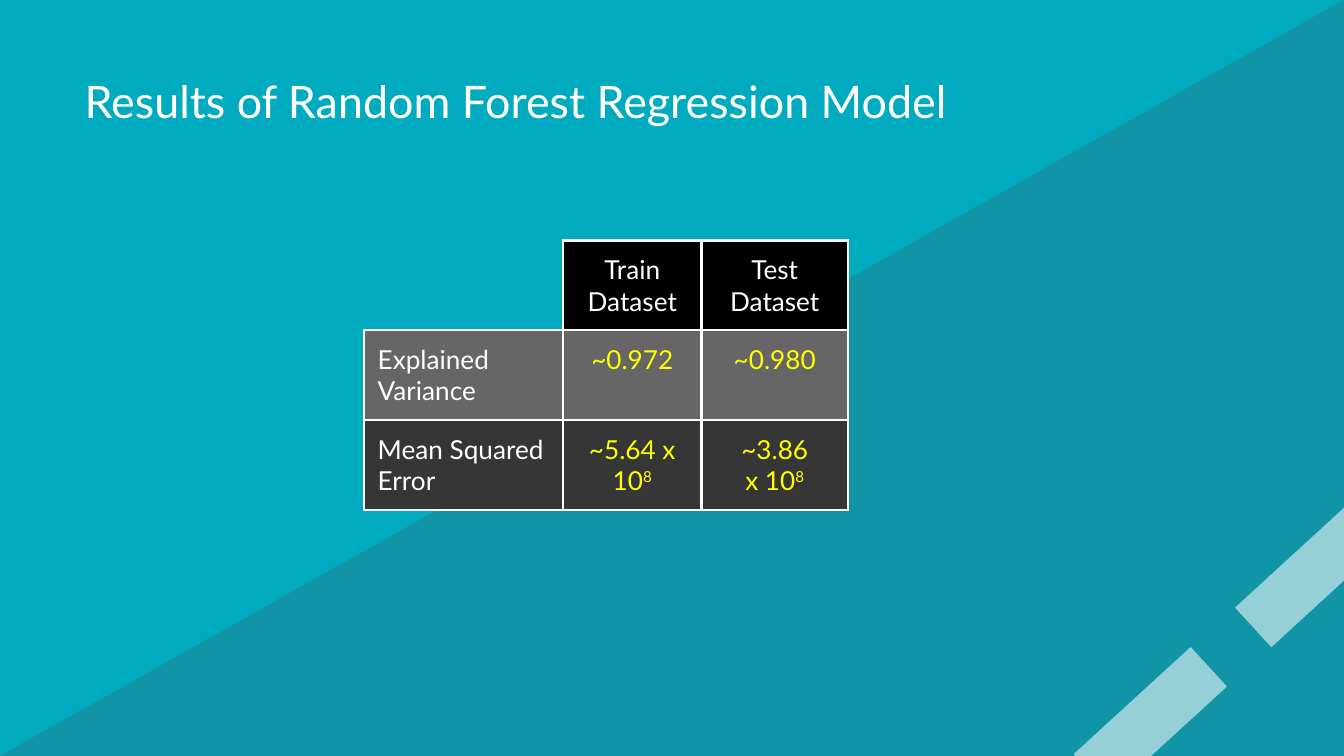
from dataclasses import dataclass

from pptx import Presentation
from pptx import util as u
from pptx.dml import color
from pptx.enum import shapes, text
from pptx.oxml import ns, parse_xml


@dataclass(frozen=True)
class Theme:
    font: str = "Lato"
    title_size: float = 24
    table_size: float = 14
    border_width: float = 1.5
    background: str = "00ABBF"
    shade: str = "336574"
    white: str = "FFFFFF"
    value: str = "FFFF00"
    header_fill: str = "000000"
    row_fills: tuple = ("666666", "363636")


@dataclass(frozen=True)
class Run:
    text: str
    superscript: bool = False


@dataclass(frozen=True)
class Decoration:
    kind: shapes.MSO_SHAPE
    left: float
    top: float
    width: float
    height: float
    fill: str
    opacity: int
    rotation: float = 0
    flipped: bool = False


@dataclass(frozen=True)
class CellContent:
    paragraphs: tuple  # each paragraph is a tuple of runs
    fill: str
    color: str = "FFFFFF"
    centered: bool = True


THEME = Theme()
WIDTH = 10
HEIGHT = WIDTH * 9 / 16
COLUMN_WIDTHS = (1.48, 1.03, 1.09)
ROW_HEIGHTS = (0.43, 0.62, 0.67)  # rows grow to fit two lines of text

DECORATIONS = (
    Decoration(shapes.MSO_SHAPE.RIGHT_TRIANGLE, 0, 0, WIDTH, HEIGHT,
               THEME.shade, 32, flipped=True),
    *(Decoration(shapes.MSO_SHAPE.RECTANGLE, left, top, 1.18, 0.4,
                 THEME.white, 56, rotation=317.5)
      for left, top in ((7.97, 5.16), (9.17, 4.07))),
)

HEADERS = ("Train Dataset", "Test\vDataset")
EXPONENT = Run("8", superscript=True)
RESULTS = (
    ("Explained Variance", ((Run("~0.972"),),), ((Run("~0.980"),),)),
    ("Mean Squared\vError",
     ((Run("~5.64 x 10"), EXPONENT),),
     ((Run("~3.86"),), (Run("x 10"), EXPONENT))),
)


def rgb(value: str) -> color.RGBColor:
    return color.RGBColor.from_string(value)


def add_run(paragraph, run: Run, size: float, font_color: str) -> None:
    """Add one run, with a line break at each vertical tab."""
    for index, part in enumerate(run.text.split("\v")):
        if index:
            paragraph.add_line_break()
        new_run = paragraph.add_run()
        new_run.text = part
        new_run.font.name = THEME.font
        new_run.font.size = u.Pt(size)
        new_run.font.bold = False
        new_run.font.color.rgb = rgb(font_color)
        if run.superscript:
            new_run._r.get_or_add_rPr().set("baseline", "30000")


def set_margins(target) -> None:
    for side in ("left", "right", "top", "bottom"):
        setattr(target, f"margin_{side}", u.Inches(0.1))


def add_decoration(slide, item: Decoration) -> None:
    shape = slide.shapes.add_shape(
        item.kind, u.Inches(item.left), u.Inches(item.top),
        u.Inches(item.width), u.Inches(item.height))
    shape.shadow.inherit = False
    shape.rotation = item.rotation
    shape.fill.solid()
    shape.fill.fore_color.rgb = rgb(item.fill)
    shape.line.fill.background()
    solid_color = shape._element.spPr.find(".//" + ns.qn("a:srgbClr"))
    solid_color.append(parse_xml(
        f'<a:alpha {ns.nsdecls("a")} val="{item.opacity * 1000}"/>'))
    if item.flipped:
        shape._element.spPr.xfrm.set("flipH", "1")


def set_borders(cell, visible: str) -> None:
    """Draw the sides named in visible (L, R, T, B) and hide the others."""
    properties = cell._tc.get_or_add_tcPr()
    for side in "LRTB":
        paint = (f'<a:solidFill><a:srgbClr val="{THEME.white}"/></a:solidFill>'
                 if side in visible else "<a:noFill/>")
        properties.append(parse_xml(
            f'<a:ln{side} {ns.nsdecls("a")} w="{u.Pt(THEME.border_width)}">'
            f"{paint}</a:ln{side}>"))


def fill_cell(cell, content: CellContent) -> None:
    set_borders(cell, "LRTB")
    set_margins(cell)
    cell.fill.solid()
    cell.fill.fore_color.rgb = rgb(content.fill)
    frame = cell.text_frame
    for index, runs in enumerate(content.paragraphs):
        paragraph = frame.add_paragraph() if index else frame.paragraphs[0]
        paragraph.alignment = (text.PP_ALIGN.CENTER if content.centered
                               else text.PP_ALIGN.LEFT)
        for run in runs:
            add_run(paragraph, run, THEME.table_size, content.color)


def add_title(slide, wording: str) -> None:
    title = slide.shapes.title
    title.left, title.top = u.Inches(0.53), u.Inches(0.43)
    title.width, title.height = u.Inches(8.44), u.Inches(0.63)
    frame = title.text_frame
    frame.word_wrap = True
    frame.auto_size = text.MSO_AUTO_SIZE.NONE
    frame.vertical_anchor = text.MSO_ANCHOR.MIDDLE
    set_margins(frame)
    frame.paragraphs[0].alignment = text.PP_ALIGN.LEFT
    add_run(frame.paragraphs[0], Run(wording), THEME.title_size, THEME.white)
    # Bring the title in front of the decorations
    slide.shapes._spTree.append(title._element)


def add_results_table(slide) -> None:
    table = slide.shapes.add_table(
        len(ROW_HEIGHTS), len(COLUMN_WIDTHS), u.Inches(2.71), u.Inches(1.79),
        u.Inches(sum(COLUMN_WIDTHS)), u.Inches(sum(ROW_HEIGHTS))).table
    table.first_row = table.horz_banding = False
    for column, width in zip(table.columns, COLUMN_WIDTHS):
        column.width = u.Inches(width)
    for row, height in zip(table.rows, ROW_HEIGHTS):
        row.height = u.Inches(height)

    # Open corner cell and column headers
    corner = table.cell(0, 0)
    set_borders(corner, "RB")
    corner.fill.background()
    for column, header in enumerate(HEADERS, start=1):
        fill_cell(table.cell(0, column),
                  CellContent(((Run(header),),), THEME.header_fill))

    # Metric names and values
    for row, (result, fill) in enumerate(zip(RESULTS, THEME.row_fills), start=1):
        metric, *values = result
        fill_cell(table.cell(row, 0),
                  CellContent(((Run(metric),),), fill, centered=False))
        for column, value in enumerate(values, start=1):
            fill_cell(table.cell(row, column),
                      CellContent(value, fill, THEME.value))


def main() -> None:
    presentation = Presentation()
    presentation.slide_width = u.Inches(WIDTH)
    presentation.slide_height = u.Inches(HEIGHT)
    slide = presentation.slides.add_slide(presentation.slide_layouts[5])
    slide.background.fill.solid()
    slide.background.fill.fore_color.rgb = rgb(THEME.background)

    for decoration in DECORATIONS:
        add_decoration(slide, decoration)
    add_title(slide, "Results of Random Forest Regression Model")
    add_results_table(slide)
    presentation.save("out.pptx")


if __name__ == "__main__":
    main()
